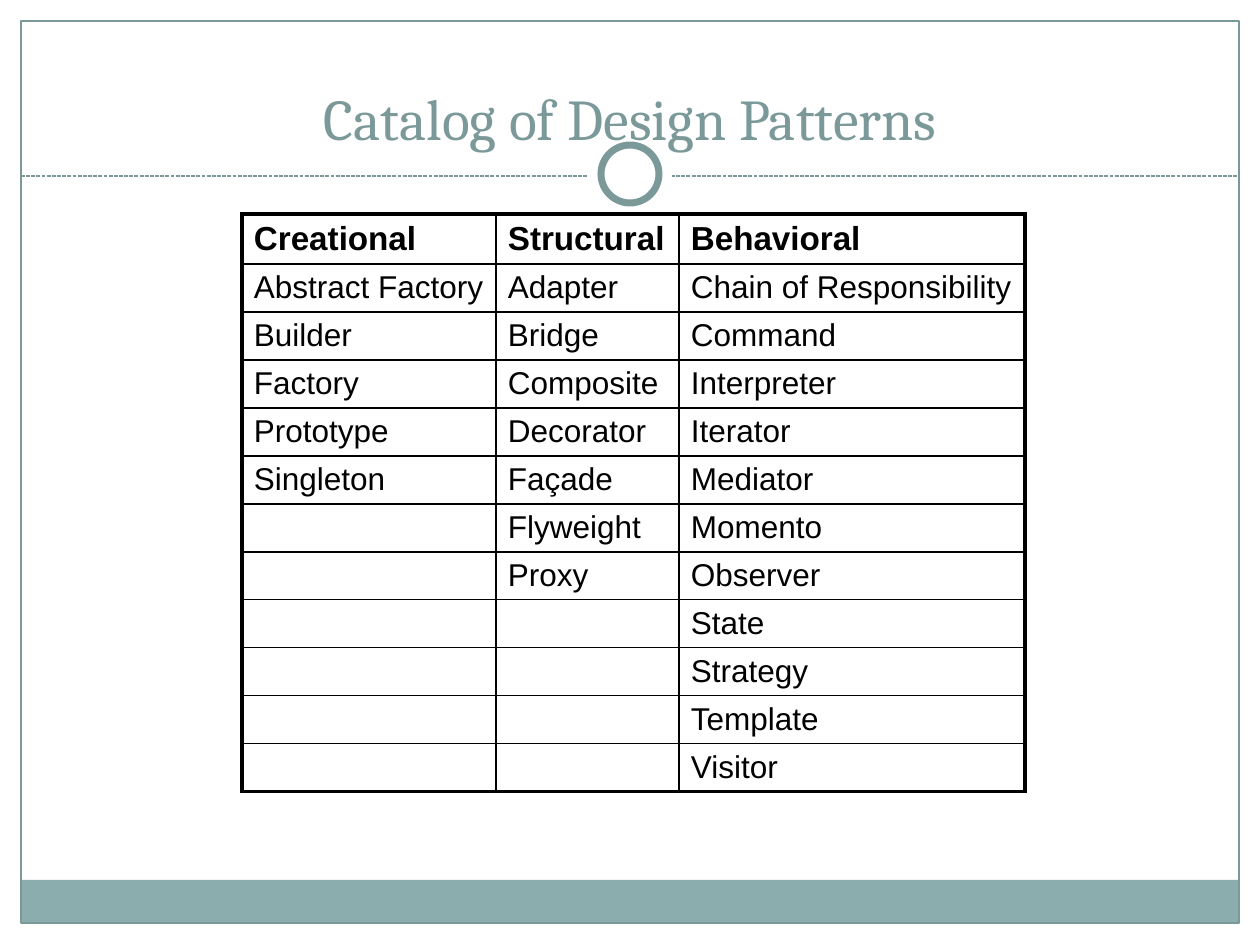
from dataclasses import dataclass
from itertools import zip_longest
from lxml.etree import SubElement
from pptx import Presentation
from pptx.dml.color import RGBColor
from pptx.enum.dml import MSO_LINE
from pptx.enum.shapes import MSO_CONNECTOR, MSO_SHAPE
from pptx.enum.text import MSO_ANCHOR, PP_ALIGN
from pptx.oxml.ns import qn
from pptx.util import Pt

SCALE = 914400 // 126


@dataclass(frozen=True)
class Theme:
    """Colours, fonts and type sizes of the slide."""
    paper: str = "FFFFFF"
    ink: str = "000000"
    accent: str = "7C999A"
    band: str = "8CADAE"
    title_font: str = "Cambria"
    table_font: str = "Arial"
    title_size: int = 33
    header_size: int = 19
    body_size: int = 18
    thin: float = 1
    thick: float = 2.25


THEME = Theme()
PATTERNS = {
    "Creational": ["Abstract Factory", "Builder", "Factory", "Prototype", "Singleton"],
    "Structural": ["Adapter", "Bridge", "Composite", "Decorator", "Façade", "Flyweight", "Proxy"],
    "Behavioral": ["Chain of Responsibility", "Command", "Interpreter", "Iterator", "Mediator",
                   "Momento", "Observer", "State", "Strategy", "Template", "Visitor"],
}


def px(*lengths):
    """Turn pixels into EMU."""
    return [round(length * SCALE) for length in lengths]


def set_all(target, values):
    """Set every attribute in a dict of format values."""
    for name, value in values.items():
        setattr(target, name, value)


def write(para, text, font, size, colour, bold=False):
    """Add one formatted span to a paragraph."""
    span = para.add_run()
    span.text = text
    set_all(span.font, {"name": font, "size": Pt(size), "bold": bold})
    span.font.color.rgb = RGBColor.from_string(colour)


def add_figure(page, kind, box, fill=None, line=None, width=0.75):
    """Draw a preset shape with an optional fill and outline."""
    shape = page.shapes.add_shape(kind, *px(*box))
    shape.shadow.inherit = False
    for paint, colour in ((shape.fill, fill), (shape.line.fill, line)):
        if colour:
            paint.solid()
            paint.fore_color.rgb = RGBColor.from_string(colour)
        else:
            paint.background()
    if line:
        shape.line.width = Pt(width)


def add_frame(page, box):
    """Draw the border, footer band, dashed rule and ring."""
    left, top, width, height = box
    band_height, rule_y = 43, top + 155
    add_figure(page, MSO_SHAPE.RECTANGLE,
               (left, top + height - band_height, width, band_height), THEME.band)
    add_figure(page, MSO_SHAPE.RECTANGLE, box, line=THEME.accent)
    rule = page.shapes.add_connector(
        MSO_CONNECTOR.STRAIGHT, *px(left, rule_y, left + width, rule_y))
    set_all(rule.line, {"width": Pt(0.75), "dash_style": MSO_LINE.SQUARE_DOT})
    rule.line.color.rgb = RGBColor.from_string(THEME.accent)
    SubElement(rule._element.spPr, qn("a:effectLst"))
    center_x, center_y = left + width / 2, rule_y - 2
    for size, line in ((84, None), (58, THEME.accent)):
        add_figure(page, MSO_SHAPE.OVAL,
                   (center_x - size / 2, center_y - size / 2, size, size),
                   THEME.paper, line, 4)


def add_title(page, box, text):
    """Place the centred title at the bottom of its box."""
    frame = page.shapes.add_textbox(*px(*box)).text_frame
    set_all(frame, {"word_wrap": True, "vertical_anchor": MSO_ANCHOR.BOTTOM})
    para = frame.paragraphs[0]
    para.alignment = PP_ALIGN.CENTER
    write(para, text, THEME.title_font, THEME.title_size, THEME.accent)


def set_borders(cell, widths):
    """Give a cell its left, right, top and bottom borders."""
    properties = cell._tc.get_or_add_tcPr()
    for index, (side, width) in enumerate(zip(("lnL", "lnR", "lnT", "lnB"), widths)):
        border = properties.makeelement(qn(f"a:{side}"), {"w": str(Pt(width))})
        paint = SubElement(border, qn("a:solidFill"))
        SubElement(paint, qn("a:srgbClr"), val=THEME.ink)
        properties.insert(index, border)


def add_catalog(page, box, column_widths, header_height):
    """Build the pattern table with a thick outer border."""
    rows = [list(PATTERNS), *zip_longest(*PATTERNS.values(), fillvalue="")]
    last_row, last_column = len(rows) - 1, len(column_widths) - 1
    row_height = (box[3] - header_height) / last_row
    table = page.shapes.add_table(len(rows), len(column_widths), *px(*box)).table
    set_all(table, {"first_row": False, "horz_banding": False})
    for column, width in zip(table.columns, px(*column_widths)):
        column.width = width
    side, edge = px(12, 4)
    margins = {"margin_left": side, "margin_right": px(11)[0],
               "margin_top": edge, "margin_bottom": edge}
    for r, texts in enumerate(rows):
        table.rows[r].height = px(row_height if r else header_height)[0]
        for c, text in enumerate(texts):
            cell = table.cell(r, c)
            set_all(cell, {**margins, "vertical_anchor": MSO_ANCHOR.MIDDLE})
            cell.fill.background()
            outer = (c == 0, c == last_column, r == 0, r == last_row)
            set_borders(cell, [THEME.thick if flag else THEME.thin for flag in outer])
            if text:
                size = THEME.body_size if r else THEME.header_size
                write(cell.text_frame.paragraphs[0], text, THEME.table_font, size,
                      THEME.ink, r == 0)


def build():
    """Build and save the slide."""
    deck = Presentation()
    set_all(deck, dict(zip(("slide_width", "slide_height"), px(1260, 945))))
    page = deck.slides.add_slide(deck.slide_layouts[6])
    page.background.fill.solid()
    page.background.fill.fore_color.rgb = RGBColor.from_string(THEME.paper)
    add_frame(page, (21, 21, 1218, 902))
    add_title(page, (126, 19, 1008, 139), "Catalog of Design Patterns")
    add_catalog(page, (242, 214, 783, 578), (254, 183, 346), 50)
    deck.save("out.pptx")


build()
